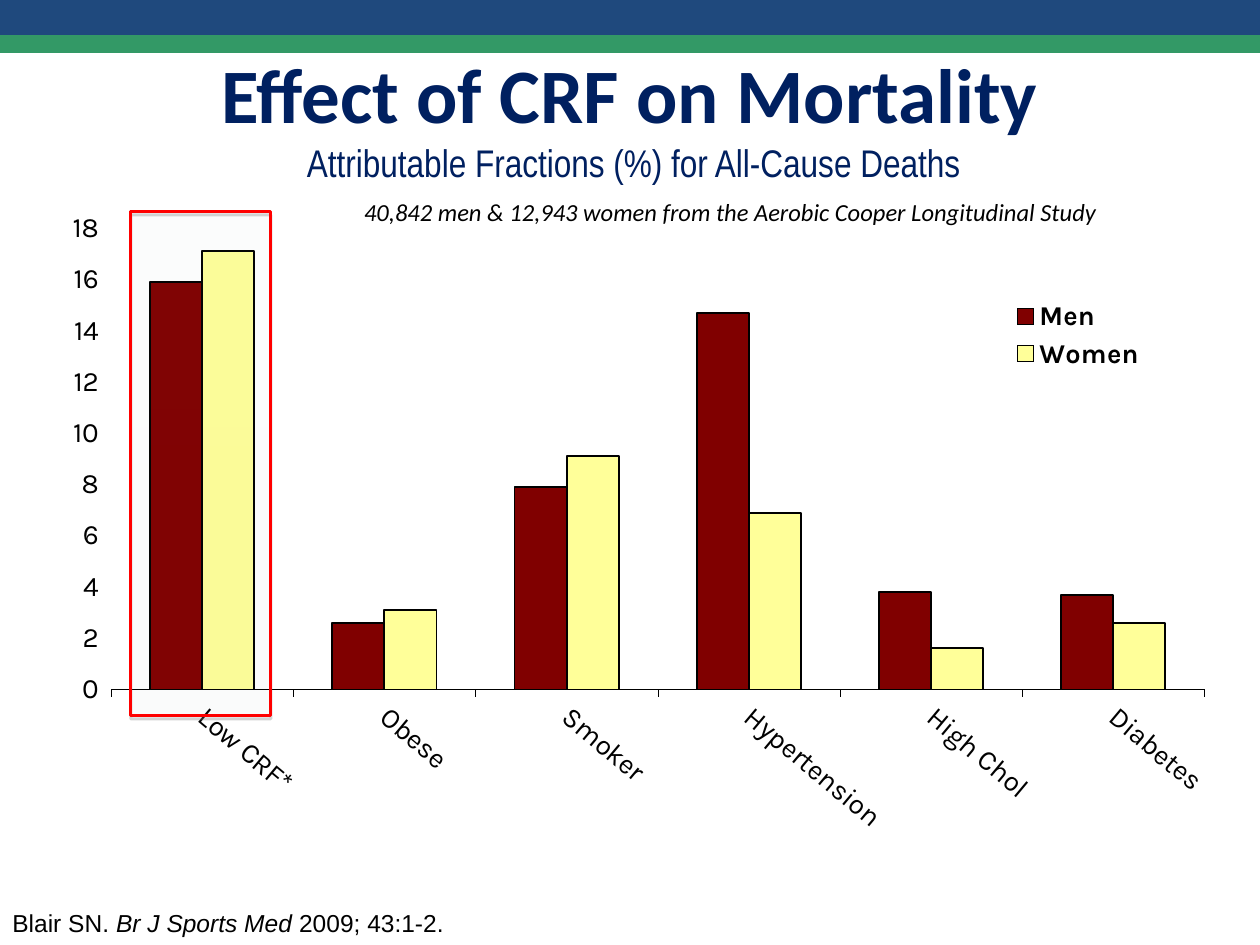
from pptx import Presentation
from pptx.chart.data import CategoryChartData
from pptx.dml.color import RGBColor
from pptx.enum.chart import XL_CHART_TYPE as ChartType, XL_LEGEND_POSITION as LegendPosition, XL_TICK_MARK as TickMark
from pptx.enum.shapes import MSO_SHAPE as Shape
from pptx.enum.text import MSO_ANCHOR as Anchor, MSO_AUTO_SIZE as AutoSize, PP_ALIGN as Align
from pptx.oxml import parse_xml
from pptx.util import Cm, Pt

A_NS = 'xmlns:a="http://schemas.openxmlformats.org/drawingml/2006/main"'
C_NS = 'xmlns:c="http://schemas.openxmlformats.org/drawingml/2006/chart"'


def color(hex_string):
    return RGBColor.from_string(hex_string)


def set_font(font, name, size, hex_string, bold=False):
    font.name, font.size, font.bold = name, Pt(size), bold
    font.color.rgb = color(hex_string)


presentation = Presentation()
presentation.slide_width, presentation.slide_height = Cm(25.4), Cm(19.05)
slide = presentation.slides.add_slide(presentation.slide_layouts[5])

# Title with subtitle line
title = slide.shapes.title
title.left, title.top, title.width, title.height = Cm(0), Cm(1.07), Cm(25.4), Cm(2.54)
title.text_frame.auto_size = AutoSize.NONE
title.text_frame.vertical_anchor = Anchor.MIDDLE
paragraph = title.text_frame.paragraphs[0]
paragraph.alignment = Align.CENTER
run = paragraph.add_run()
run.text = "Effect of CRF on Mortality"
set_font(run.font, "Calibri", 44, "002060", bold=True)
paragraph.add_line_break()
for text, size in ((" ", 18), ("Attributable Fractions (%) for All-Cause Deaths", 22)):
    run = paragraph.add_run()
    run.text = text
    set_font(run.font, "Arial Narrow", size, "002060")

# Column chart
chart_data = CategoryChartData()
chart_data.categories = ["Low CRF*", "Obese", "Smoker", "Hypertension", "High Chol", "Diabetes"]
chart_data.add_series("Men", (15.9, 2.6, 7.9, 14.7, 3.8, 3.7))
chart_data.add_series("Women", (17.1, 3.1, 9.1, 6.9, 1.6, 2.6))
chart = slide.shapes.add_chart(
    ChartType.COLUMN_CLUSTERED, Cm(0.43), Cm(4.17), Cm(24.77), Cm(13.61), chart_data).chart
chart.has_title = False
set_font(chart.font, "Karla", 16, "000000")
plot = chart.plots[0]
plot.gap_width, plot.overlap, plot.vary_by_categories = 150, 0, False
for series, fill in zip(plot.series, ("800000", "FFFF99")):
    series.format.fill.solid()
    series.format.fill.fore_color.rgb = color(fill)
    series.format.line.color.rgb = color("000000")
    series.format.line.width = Pt(1.05)

# Axes
for axis, line, width in ((chart.category_axis, "000000", 0.25), (chart.value_axis, "FFFFFF", 1.05)):
    axis.has_major_gridlines = False
    axis.major_tick_mark = TickMark.OUTSIDE
    axis.format.line.color.rgb = color(line)
    axis.format.line.width = Pt(width)
    set_font(axis.tick_labels.font, "Karla", 16, "000000")
chart.value_axis.minimum_scale, chart.value_axis.maximum_scale = 0, 18
chart.value_axis.major_unit = 2
label_body = chart.category_axis._element.txPr.bodyPr
label_body.set("rot", "2400000")
label_body.set("vert", "horz")

# Legend
chart.has_legend = True
legend = chart.legend
legend.position = LegendPosition.RIGHT
legend.include_in_layout = False
set_font(legend.font, "Karla", 15.5, "000000", bold=True)

# Fixed places of plot area and legend
plot_area = chart._chartSpace.chart.plotArea
for old_layout in plot_area.findall("{*}layout"):
    plot_area.remove(old_layout)
for old_layout in legend._element.findall("{*}layout"):
    legend._element.remove(old_layout)
for parent, index, target, box in (
        (plot_area, 0, '<c:layoutTarget val="inner"/>', (0.073, 0.032, 0.89, 0.683)),
        (legend._element, 1, "", (0.8, 0.13, 0.12, 0.12))):
    modes = '<c:xMode val="edge"/><c:yMode val="edge"/>'
    values = "".join(f'<c:{key} val="{value}"/>' for key, value in zip("xywh", box))
    parent.insert(index, parse_xml(
        f"<c:layout {C_NS}><c:manualLayout>{target}{modes}{values}</c:manualLayout></c:layout>"))

# Study note and citation
for left, top, width, font_name, parts in (
        (7.09, 3.84, 16.1, "Calibri",
         [("40,842 men & 12,943 women from the Aerobic Cooper Longitudinal Study", True)]),
        (0, 18.19, 9.4, "Arial",
         [("Blair SN. ", False), ("Br J Sports Med ", True), ("2009; 43:1-2.", False)])):
    text_frame = slide.shapes.add_textbox(Cm(left), Cm(top), Cm(width), Cm(0.86)).text_frame
    text_frame.word_wrap = False
    text_frame.auto_size = AutoSize.SHAPE_TO_FIT_TEXT
    paragraph = text_frame.paragraphs[0]
    set_font(paragraph.font, font_name, 14, "000000")
    for text, italic in parts:
        run = paragraph.add_run()
        run.text = text
        run.font.italic = italic

# Highlight frame around the first category
frame = slide.shapes.add_shape(Shape.RECTANGLE, Cm(2.64), Cm(4.27), Cm(2.82), Cm(10.16))
frame.line.color.rgb = color("FF0000")
frame.line.width = Pt(1.75)
frame.fill.gradient()
frame.fill.gradient_angle = 270
for stop, shade in zip(frame.fill.gradient_stops, ("AFE0E4", "85AAAD")):
    stop.color.rgb = color(shade)
for stop_color in frame._element.spPr.findall(".//{*}gs/{*}srgbClr"):
    stop_color.append(parse_xml(f'<a:alpha {A_NS} val="2000"/>'))
frame.shadow.inherit = False
frame._element.spPr.find("{*}effectLst").append(parse_xml(
    f'<a:outerShdw {A_NS} dist="22860" dir="5400000" rotWithShape="0">'
    '<a:srgbClr val="808080"><a:alpha val="35000"/></a:srgbClr></a:outerShdw>'))

# Header bands
for top, height, fill in ((0, 0.71, "1F497D"), (0.71, 0.36, "339966")):
    band = slide.shapes.add_shape(Shape.RECTANGLE, Cm(0), Cm(top), Cm(25.4), Cm(height))
    band.shadow.inherit = False
    band.fill.solid()
    band.fill.fore_color.rgb = color(fill)
    band.line.fill.background()

presentation.save("out.pptx")
